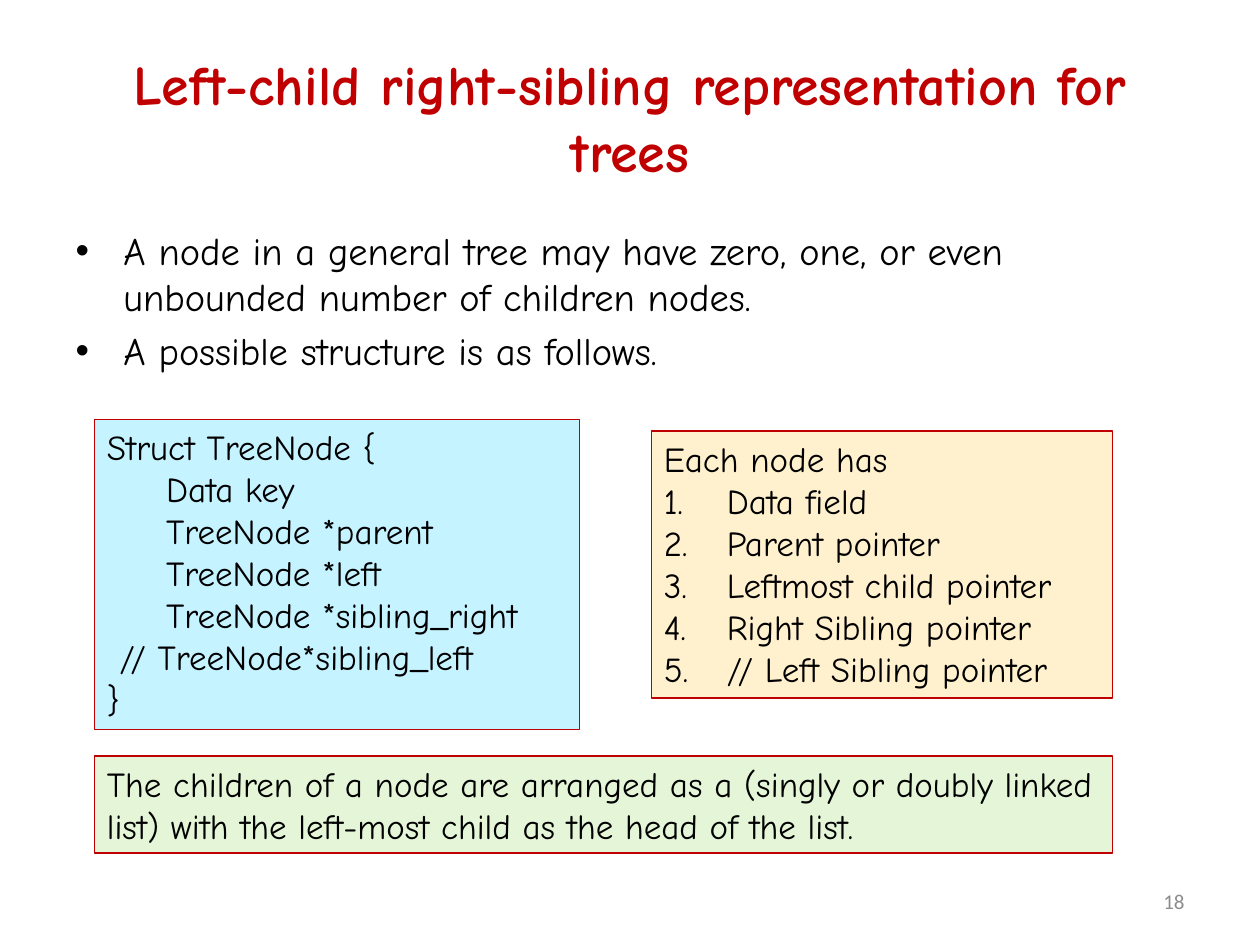
from lxml import etree
from pptx import Presentation
from pptx import util as u
from pptx.dml.color import RGBColor
from pptx.enum import shapes, text
from pptx.oxml import ns

THEME = {
    "font": "Comic Neue", "number_font": "Calibri",
    "accent": "C00000", "ink": "000000", "muted": "8C8C8C",
    "title": 32, "body": 22, "box": 20, "number": 12, "line": 0.75,
}
TITLE = "Left-child right-sibling representation for trees"
POINTS = [
    "A node in a general tree may have zero, one, or even unbounded number of children nodes.",
    "A possible structure is as follows.",
]
FIELD, COMMENT, NUMBERED = (0.47, 0, None), (0.1, 0, None), (0.5, -0.5, "arabicPeriod")
FLUSH = (0, 0, None)
BOXES = [
    ((0.75, 3.33, 3.85, 2.46), "C5F3FF", [
        ("Struct TreeNode {", FLUSH),
        ("Data key", FIELD),
        ("TreeNode *parent", FIELD),
        ("TreeNode *left", FIELD),
        ("TreeNode *sibling_right", FIELD),
        ("// TreeNode*sibling_left", COMMENT),
        ("}", FLUSH),
    ]),
    ((5.17, 3.42, 3.66, 2.12), "FFF1CE", [
        ("Each node has", FLUSH),
        ("Data field", NUMBERED),
        ("Parent pointer", NUMBERED),
        ("Leftmost child pointer", NUMBERED),
        ("Right Sibling pointer", NUMBERED),
        ("// Left Sibling pointer", NUMBERED),
    ]),
    ((0.75, 6, 8.08, 0.77), "E5F6D8", [
        ("The children of a node are arranged as a (singly or doubly linked list) "
         "with the left-most child as the head of the list.", FLUSH),
    ]),
]
PAGE = "18"


def place(part, left, top, width, height):
    part.left, part.top = u.Inches(left), u.Inches(top)
    part.width, part.height = u.Inches(width), u.Inches(height)


def write(part, lines, size, color="ink", font="font", bold=False,
          align=text.PP_ALIGN.LEFT, anchor=text.MSO_ANCHOR.TOP):
    frame = part.text_frame
    frame.text = "\n".join(lines)
    frame.word_wrap = True
    frame.auto_size = text.MSO_AUTO_SIZE.NONE
    frame.vertical_anchor = anchor
    for paragraph in frame.paragraphs:
        paragraph.alignment = align
        for run in paragraph.runs:
            run.font.name = THEME[font]
            run.font.size = u.Pt(THEME[size])
            run.font.bold = bold
            run.font.color.rgb = RGBColor.from_string(THEME[color])
    return frame.paragraphs


def indent(paragraph, margin, first, numbering=None):
    properties = paragraph._p.get_or_add_pPr()
    properties.set("marL", str(u.Inches(margin)))
    properties.set("indent", str(u.Inches(first)))
    if numbering:
        etree.SubElement(properties, ns.qn("a:buFont"), typeface="+mj-lt")
        etree.SubElement(properties, ns.qn("a:buAutoNum"), type=numbering)


def add_box(slide, bounds, fill, lines):
    box = slide.shapes.add_shape(shapes.MSO_SHAPE.RECTANGLE, *map(u.Inches, bounds))
    box.shadow.inherit = False
    box.fill.solid()
    box.fill.fore_color.rgb = RGBColor.from_string(fill)
    box.line.color.rgb = RGBColor.from_string(THEME["accent"])
    box.line.width = u.Pt(THEME["line"])
    paragraphs = write(box, [line for line, _ in lines], "box")
    for paragraph, (_, style) in zip(paragraphs, lines):
        indent(paragraph, *style)


def main():
    deck = Presentation()
    deck.slide_width, deck.slide_height = u.Inches(10), u.Inches(7.5)
    slide = deck.slides.add_slide(deck.slide_layouts[1])

    title = slide.shapes.title
    place(title, 0.5, 0.3, 9, 1.25)
    write(title, [TITLE], "title", "accent", bold=True,
          align=text.PP_ALIGN.CENTER, anchor=text.MSO_ANCHOR.MIDDLE)

    body = slide.placeholders[1]
    place(body, 0.5, 1.75, 9, 1.33)
    for paragraph in write(body, POINTS, "body"):
        indent(paragraph, 0.38, -0.38)

    page = slide.shapes.add_textbox(*map(u.Inches, (7.17, 6.95, 2.33, 0.4)))
    write(page, [PAGE], "number", "muted", "number_font",
          align=text.PP_ALIGN.RIGHT, anchor=text.MSO_ANCHOR.MIDDLE)

    for bounds, fill, lines in BOXES:
        add_box(slide, bounds, fill, lines)
    deck.save("out.pptx")


if __name__ == "__main__":
    main()
